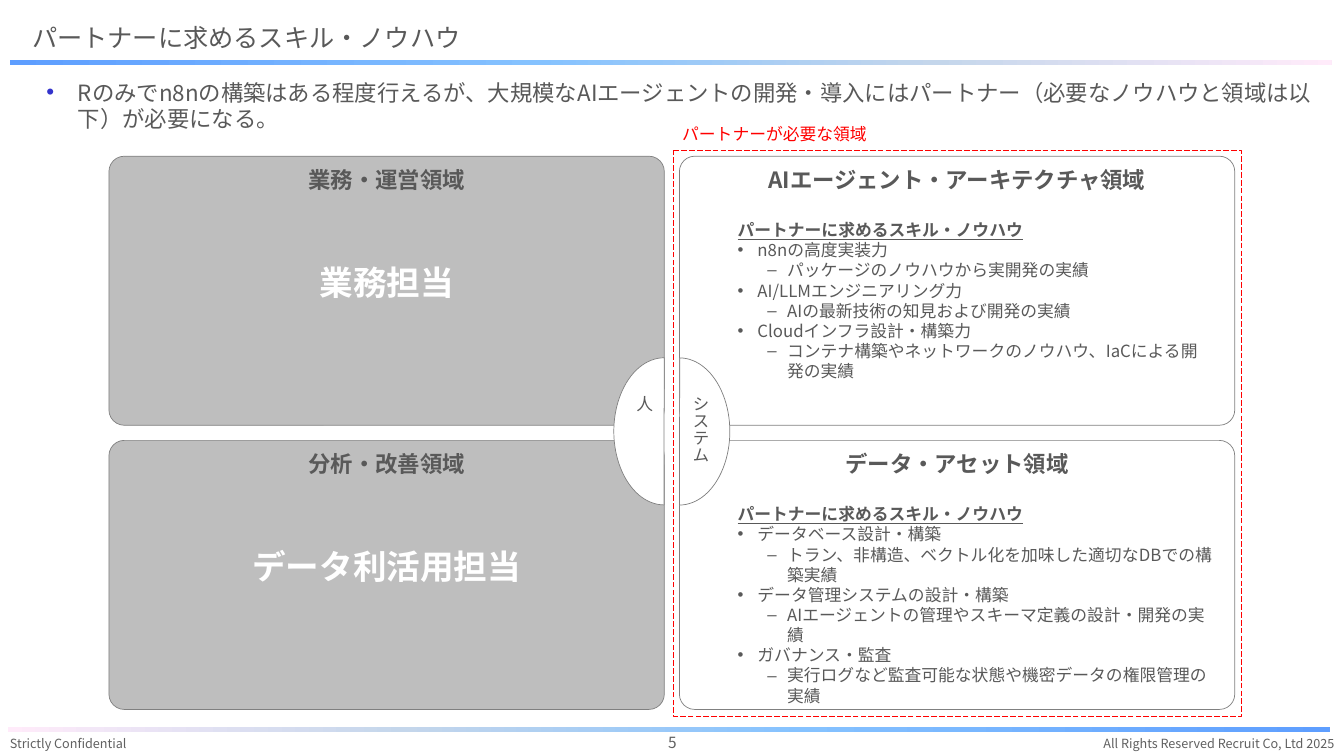
from lxml import etree
from pptx import Presentation
from pptx.dml import color
from pptx.enum import dml, shapes, text
from pptx.oxml import ns
from pptx.util import Pt

COLORS = {
    "text": "595959", "footer": "606060", "bullet": "3333CC", "panel": "7F7F7F",
    "outline": "808080", "white": "FFFFFF", "alert": "FF0000",
}
BAR_STOPS = [(0, "5E9EFF"), (40, "85C2FF"), (70, "C4D6EB"), (100, "FFEBFA")]
FONT = "Noto Sans CJK JP"
SHAPE = shapes.MSO_SHAPE
ALIGN = text.PP_ALIGN
ANCHOR = text.MSO_ANCHOR

SKILL_HEADING = "パートナーに求めるスキル・ノウハウ"
AGENT_SKILLS = [
    ("n8nの高度実装力", "パッケージのノウハウから実開発の実績"),
    ("AI/LLMエンジニアリング力", "AIの最新技術の知見および開発の実績"),
    ("Cloudインフラ設計・構築力", "コンテナ構築やネットワークのノウハウ、IaCによる開発の実績"),
]
DATA_SKILLS = [
    ("データベース設計・構築", "トラン、非構造、ベクトル化を加味した適切なDBでの構築実績"),
    ("データ管理システムの設計・構築", "AIエージェントの管理やスキーマ定義の設計・開発の実績"),
    ("ガバナンス・監査", "実行ログなど監査可能な状態や機密データの権限管理の実績"),
]
PANEL_LEFTS = (77.8, 485.3)
PANEL_TOPS = (111.6, 314.6)
PANEL_SIZE = (396.7, 192.2)
PANELS = [
    ("業務・運営領域", "業務担当", None),
    ("AIエージェント・アーキテクチャ領域", None, AGENT_SKILLS),
    ("分析・改善領域", "データ利活用担当", None),
    ("データ・アセット領域", None, DATA_SKILLS),
]


class SlideBuilder:
    """Draws styled elements, measured in points, on one slide."""

    def __init__(self, presentation):
        self.slide = presentation.slides.add_slide(presentation.slide_layouts[1])

    def rgb(self, name):
        return color.RGBColor.from_string(COLORS[name])

    def child(self, parent, tag, **attributes):
        return etree.SubElement(parent, ns.qn(tag), attributes)

    def style_text(self, paragraph, words, size, ink="text", bold=False, underline=False,
                   align=ALIGN.LEFT, before=0):
        paragraph.text = words
        paragraph.alignment = align
        paragraph.space_before = Pt(before)
        paragraph.line_spacing = Pt(size * 1.2)
        for run in paragraph.runs:
            run.font.name = FONT
            run.font.size = Pt(size)
            run.font.bold = bold
            run.font.underline = underline
            run.font.color.rgb = self.rgb(ink)
            self.child(run.font._element, "a:ea", typeface=FONT)

    def bullet(self, paragraph, mark, margin, hanging, ink=None):
        properties = paragraph._p.get_or_add_pPr()
        properties.set("marL", str(int(Pt(margin))))
        properties.set("indent", str(-int(Pt(hanging))))
        if ink:
            bullet_color = self.child(properties, "a:buClr")
            self.child(bullet_color, "a:srgbClr", val=COLORS[ink])
        self.child(properties, "a:buFont", typeface="Arial")
        self.child(properties, "a:buChar", char=mark)

    def placeholder(self, shape, box, anchor):
        shape.left, shape.top, shape.width, shape.height = map(Pt, box)
        frame = shape.text_frame
        frame.auto_size = text.MSO_AUTO_SIZE.NONE
        frame.word_wrap = True
        frame.vertical_anchor = anchor
        return frame.paragraphs[0]

    def title(self, words, box):
        paragraph = self.placeholder(self.slide.shapes.title, box, ANCHOR.MIDDLE)
        self.style_text(paragraph, words, 18)

    def message(self, words, box):
        paragraph = self.placeholder(self.slide.placeholders[1], box, ANCHOR.TOP)
        self.bullet(paragraph, "•", 22.5, 22.5, "bullet")
        self.style_text(paragraph, words, 16)

    def text_box(self, words, box, size, anchor=ANCHOR.TOP, **style):
        shape = self.slide.shapes.add_textbox(*map(Pt, box))
        frame = shape.text_frame
        frame.word_wrap = True
        frame.vertical_anchor = anchor
        self.style_text(frame.paragraphs[0], words, size, **style)
        return frame

    def vertical_label(self, words, box):
        frame = self.text_box(words, box, 12, ANCHOR.MIDDLE)
        frame.margin_left = frame.margin_right = 0
        frame.margin_top = frame.margin_bottom = Pt(5.76)
        frame._txBody.bodyPr.set("vert", "eaVert")

    def skill_list(self, skills, box):
        frame = self.text_box(SKILL_HEADING, box, 12, bold=True, underline=True)
        for skill, evidence in skills:
            for level, words in enumerate((skill, evidence)):
                paragraph = frame.add_paragraph()
                paragraph.level = level
                self.bullet(paragraph, "•‒"[level], (14.2, 35.4)[level], 14.2)
                self.style_text(paragraph, words, 12)

    def shape(self, kind, box, adjustments=(), fill=None, line="outline"):
        shape = self.slide.shapes.add_shape(kind, *map(Pt, box))
        shape.shadow.inherit = False
        for index, value in enumerate(adjustments):
            shape.adjustments[index] = value
        if fill:
            shape.fill.solid()
            shape.fill.fore_color.rgb = self.rgb(fill)
        else:
            shape.fill.background()
        if line:
            shape.line.color.rgb = self.rgb(line)
            shape.line.width = Pt(0.5)
        else:
            shape.line.fill.background()
        return shape

    def gradient_bar(self, box, stops):
        bar = self.shape(SHAPE.RECTANGLE, box, line=None)
        bar.fill.gradient()
        bar.fill.gradient_angle = 0
        stop_list = bar._element.spPr.find(".//" + ns.qn("a:gsLst"))
        for stop in list(stop_list):
            stop_list.remove(stop)
        for percent, value in stops:
            stop = self.child(stop_list, "a:gs", pos=str(percent * 1000))
            self.child(stop, "a:srgbClr", val=value)

    def panel(self, heading, owner, box):
        panel = self.shape(SHAPE.ROUNDED_RECTANGLE, box, [0.057], "panel" if owner else None)
        frame = panel.text_frame
        frame.word_wrap = True
        frame.vertical_anchor = ANCHOR.TOP
        self.style_text(frame.paragraphs[0], heading, 16, bold=True, align=ALIGN.CENTER)
        if owner:
            fill_color = panel._element.spPr.find(ns.qn("a:solidFill"))[0]
            self.child(fill_color, "a:alpha", val="50000")
            self.style_text(frame.add_paragraph(), owner, 24, "white", bold=True,
                            align=ALIGN.CENTER, before=49.6)


def main():
    presentation = Presentation()
    presentation.slide_width, presentation.slide_height = Pt(960), Pt(540)
    builder = SlideBuilder(presentation)

    builder.gradient_bar((7.2, 43.2, 944, 3.6), BAR_STOPS)
    builder.gradient_bar((5.8, 519.1, 944, 3.6),
                         [(100 - percent, value) for percent, value in reversed(BAR_STOPS)])
    builder.text_box("Strictly Confidential", (0, 522, 130, 18), 9, ink="footer")
    builder.text_box("All Rights Reserved Recruit Co, Ltd 2025", (740, 522, 220, 18), 9,
                     ink="footer", align=ALIGN.RIGHT)
    builder.text_box("5", (380.2, 522.7, 200.2, 18), 11, ANCHOR.BOTTOM,
                     ink="footer", align=ALIGN.CENTER)

    builder.title(SKILL_HEADING, (15.8, 12.2, 904.3, 29.5))
    builder.message("Rのみでn8nの構築はある程度行えるが、大規模なAIエージェントの開発・導入には"
                    "パートナー（必要なノウハウと領域は以下）が必要になる。",
                    (25.9, 52.6, 928.1, 48.2))

    for index, (heading, owner, _) in enumerate(PANELS):
        row, column = divmod(index, 2)
        builder.panel(heading, owner, (PANEL_LEFTS[column], PANEL_TOPS[row], *PANEL_SIZE))

    for words, chord_left, label_left, rotation in (
            ("人", 438.5, 445.7, 0), ("システム", 449.3, 486, 180)):
        chord = builder.shape(SHAPE.CHORD, (chord_left, 255.6, 72, 105.1),
                              [54.137, 162], "white")
        chord.rotation = rotation
        builder.vertical_label(words, (label_left, 277.2, 28.8, 61.2))

    for (_, _, skills), top in zip(PANELS[1::2], PANEL_TOPS):
        builder.skill_list(skills, (519.8, top + 41.8, 354, 108.7))

    frame = builder.shape(SHAPE.ROUNDED_RECTANGLE, (481, 107.3, 405.4, 404.6), [0],
                          line="alert")
    frame.line.dash_style = dml.MSO_LINE.LONG_DASH
    builder.text_box("パートナーが必要な領域", (480.2, 85, 406.8, 21.6), 12, ink="alert")

    presentation.save("out.pptx")


if __name__ == "__main__":
    main()
